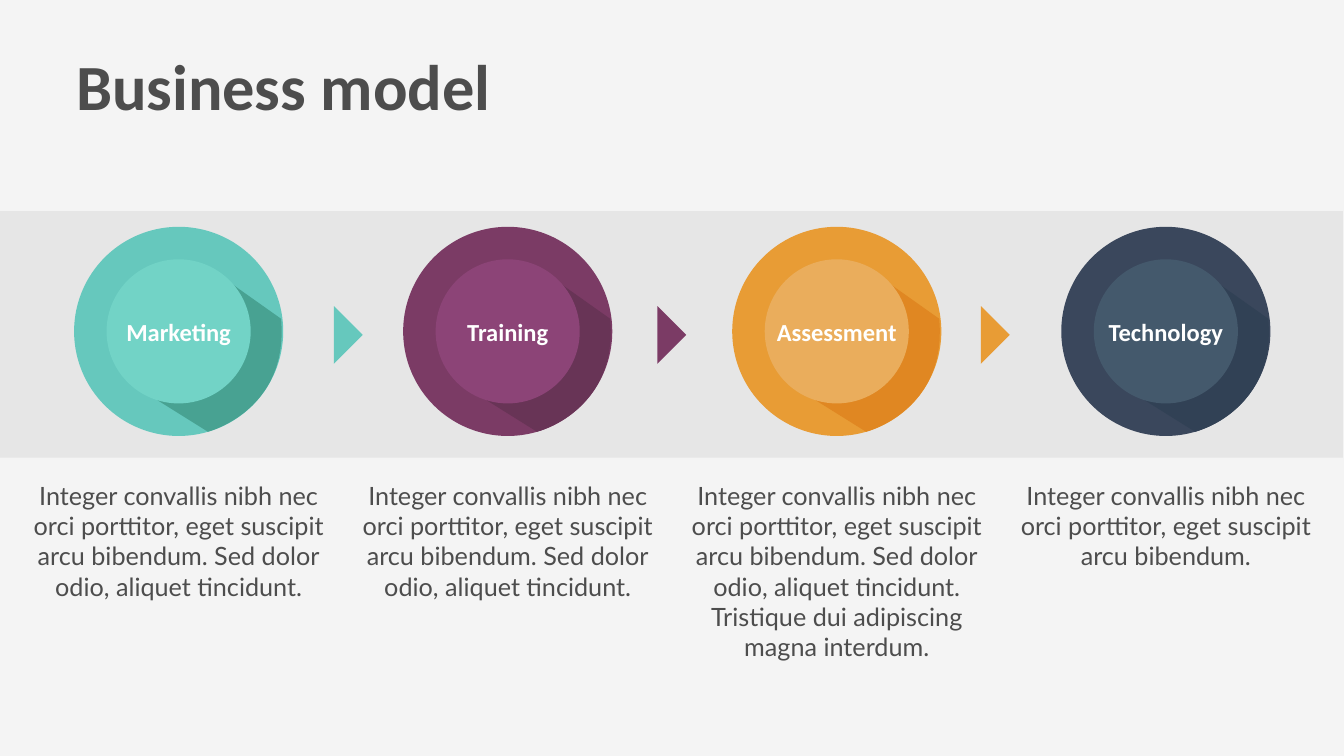
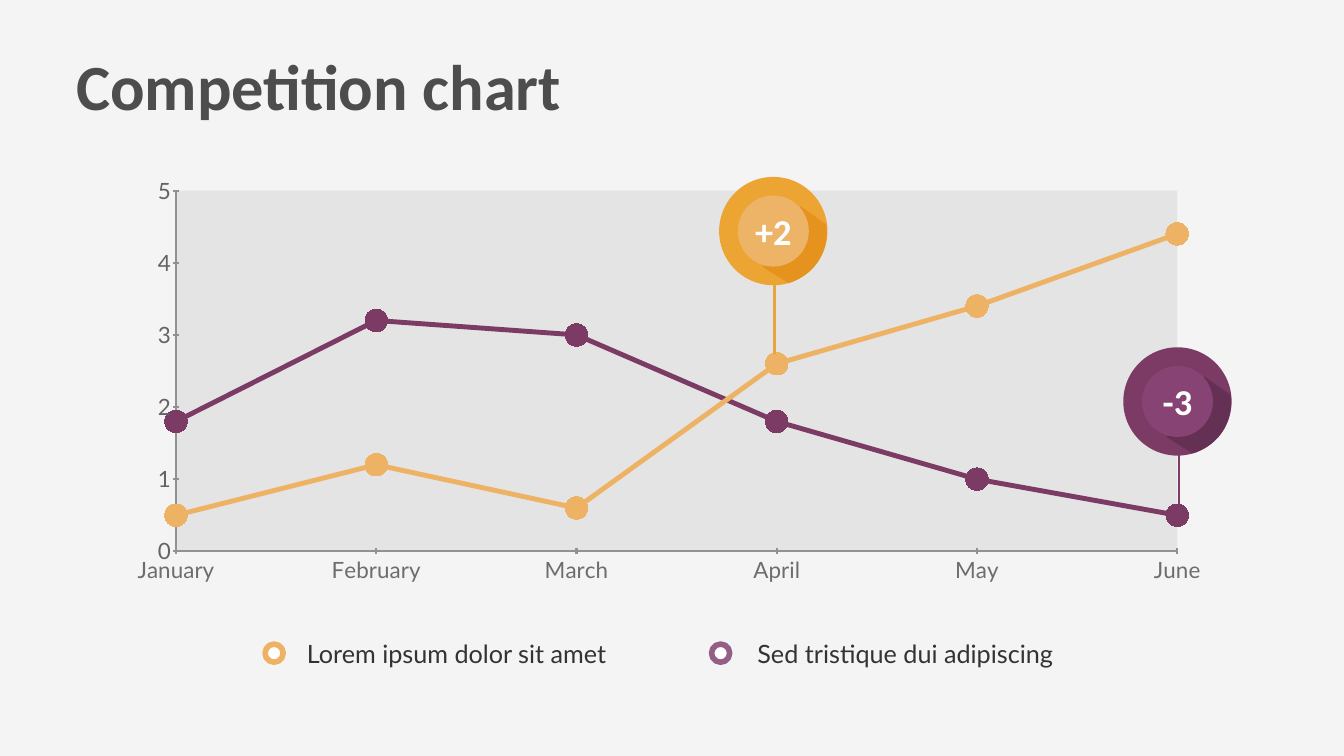
from lxml import etree
from pptx import Presentation
from pptx import util as u
from pptx.chart.data import CategoryChartData
from pptx.dml.color import RGBColor
from pptx.enum import chart as ch, shapes, text
from pptx.oxml import parse_xml
from pptx.oxml.ns import nsdecls, qn

BACK, BAND, INK = "F4F4F4", "E6E6E6", "4D4D4D"
WHITE, AXIS, LEGEND_INK = "FFFFFF", "919191", "333333"
PLUM, AMBER = "7B3B65", "EDB264"
HEAD, BODY = "Calibri", "Lato"

TITLE_FMT = {"name": HEAD, "size": 92, "bold": True, "color": INK}
STEP_FMT = {"name": HEAD, "size": 35, "bold": True, "color": WHITE}
CALLOUT_FMT = {"name": HEAD, "size": 52, "bold": True, "color": WHITE}
BODY_FMT = {"name": BODY, "size": 36, "color": INK}
LEGEND_FMT = {"name": BODY, "size": 36, "color": LEGEND_INK}

CENTER = text.PP_ALIGN.CENTER
OVAL = shapes.MSO_SHAPE.OVAL

# Name, ring, shadow, disc, lines of text
COPY = ["Integer convallis nibh nec", "orci porttitor, eget suscipit",
        "arcu bibendum. Sed dolor", "odio, aliquet tincidunt."]
STEPS = [
    ("Marketing", "66C8BD", "48A292", "72D3C6", COPY),
    ("Training", PLUM, "683456", "8C4477", COPY),
    ("Assessment", "E89C35", "E08722", "EAAD5C",
     COPY + ["Tristique dui adipiscing", "magna interdum."]),
    ("Technology", "3A475C", "314155", "44596C",
     COPY[:2] + ["arcu bibendum."]),
]

MONTHS = ["January", "February", "March", "April", "May", "June"]
SERIES = [("Series 1", PLUM, [1.8, 3.2, 3, 1.8, 1, 0.5]),
          ("Series 2", AMBER, [0.5, 1.2, 0.6, 2.6, 3.4, 4.4])]


def rgb(value):
    return RGBColor.from_string(value)


def inches(*values):
    return [u.Inches(v) for v in values]


def set_font(font, fmt):
    for key, value in fmt.items():
        if key == "color":
            font.color.rgb = rgb(value)
        else:
            setattr(font, key, u.Pt(value) if key == "size" else value)


def paint(sp, fill, line=None, width=0):
    sp.shadow.inherit = False
    sp.fill.solid()
    sp.fill.fore_color.rgb = rgb(fill)
    if line:
        sp.line.color.rgb = rgb(line)
        sp.line.width = u.Pt(width)
    else:
        sp.line.fill.background()
    return sp


def add_shape(slide, kind, box, fill, line=None, width=0):
    return paint(slide.shapes.add_shape(kind, *inches(*box)), fill, line, width)


def add_text(slide, box, lines, fmt, align=None, inset=0, middle=False, wrap=True):
    tf = slide.shapes.add_textbox(*inches(*box)).text_frame
    tf.word_wrap = wrap
    for side in ("left", "right", "top", "bottom"):
        setattr(tf, "margin_" + side, u.Inches(inset))
    if middle:
        tf.vertical_anchor = text.MSO_ANCHOR.MIDDLE
    for i, line in enumerate(lines):
        p = tf.add_paragraph() if i else tf.paragraphs[0]
        p.alignment = align
        r = p.add_run()
        r.text = line
        set_font(r.font, fmt)


def add_stalk(slide, x, top, bottom, color):
    line = slide.shapes.add_connector(
        shapes.MSO_CONNECTOR.STRAIGHT, *inches(x, top, x, bottom))
    line.line.color.rgb = rgb(color)
    line.line.width = u.Pt(3)
    etree.SubElement(line._element.spPr, qn("a:effectLst"))


def new_slide(prs, title):
    slide = prs.slides.add_slide(prs.slide_layouts[6])
    slide.background.fill.solid()
    slide.background.fill.fore_color.rgb = rgb(BACK)
    add_text(slide, (1.51, 0.92, 16.32, 1.65), [title], TITLE_FMT)
    return slide


def bezier(a, b, c, d, steps=24):
    """Points along a cubic curve from a to d."""
    for i in range(steps + 1):
        t = i / steps
        s = 1 - t
        yield tuple(s**3 * m + 3 * s * s * t * n + 3 * s * t * t * o + t**3 * q
                    for m, n, o, q in zip(a, b, c, d))


def badge(slide, left, top, size, disc_size, colors, label, label_box, fmt):
    """Ring with a slanting shadow, an inner disc and a centred label."""
    ring, shadow, disc = colors
    add_shape(slide, OVAL, (left, top, size, size), ring)

    # Shadow outline, in fractions of the ring's size
    edge = bezier((0.64, 0.98), (0.64, 0.98), (1.03, 0.88), (0.99, 0.44))
    points = [(0.4, 0.83), *edge, (0.75, 0.27)]
    points = [inches(left + x * size, top + y * size) for x, y in points]
    fb = slide.shapes.build_freeform(*points[0])
    fb.add_line_segments(points[1:], close=True)
    paint(fb.convert_to_shape(), shadow)

    inset = (size - disc_size) / 2
    add_shape(slide, OVAL, (left + inset, top + inset, disc_size, disc_size), disc)
    w, h = label_box
    add_text(slide, (left + (size - w) / 2, top + (size - h) / 2, w, h), [label],
             fmt, CENTER, inset=0.06, middle=True, wrap=False)


def process_band(slide, left, top, width, height):
    """Band with the steps, arrows between them and text below."""
    add_shape(slide, shapes.MSO_SHAPE.RECTANGLE, (left, top, width, height), BAND)
    step_gap, arrow_gap = 6.53, 6.42
    for i, (name, ring, shadow, disc, lines) in enumerate(STEPS):
        x = left + i * step_gap
        badge(slide, x + 1.47, top + 0.31, 4.15, 2.86, (ring, shadow, disc),
              name, (2.72, 0.69), STEP_FMT)
        add_text(slide, (x + 0.64, top + 5.34, 5.81, 0.12 + 0.61 * len(lines)),
                 lines, BODY_FMT, CENTER, wrap=False)
        if i < len(STEPS) - 1:
            arrow = add_shape(
                slide, shapes.MSO_SHAPE.RIGHT_TRIANGLE,
                (left + 6.22 + i * arrow_gap, top + 2.05, 0.81, 0.81), ring)
            arrow.rotation = 225


def style_axis(axis, color):
    axis.has_title = False
    axis.has_major_gridlines = False
    axis.major_tick_mark = ch.XL_TICK_MARK.CROSS
    axis.minor_tick_mark = ch.XL_TICK_MARK.NONE
    axis.format.line.color.rgb = rgb(AXIS)
    axis.format.line.width = u.Pt(3.25)
    set_font(axis.tick_labels.font, {"name": BODY, "size": 32, "color": color})


def style_plot_area(chart):
    """Fixed inner plot position and a grey fill."""
    area = chart._chartSpace.chart.plotArea
    for old in area.findall(qn("c:layout")):
        area.remove(old)
    frame = {"x": 0.068, "y": 0.039, "w": 0.899, "h": 0.838}
    modes = "".join(f'<c:{k}Mode val="edge"/>' for k in "xy")
    sizes = "".join(f'<c:{k} val="{v}"/>' for k, v in frame.items())
    area.insert(0, parse_xml(
        f'<c:layout {nsdecls("c")}><c:manualLayout><c:layoutTarget val="inner"/>'
        f'{modes}{sizes}</c:manualLayout></c:layout>'))
    area.append(parse_xml(
        f'<c:spPr {nsdecls("c", "a")}><a:solidFill><a:srgbClr val="E4E4E4"/>'
        '</a:solidFill><a:ln><a:noFill/></a:ln></c:spPr>'))


def line_chart(slide, *box):
    data = CategoryChartData()
    data.categories = MONTHS
    for name, _, values in SERIES:
        data.add_series(name, values)
    chart = slide.shapes.add_chart(
        ch.XL_CHART_TYPE.LINE_MARKERS, *inches(*box), data).chart
    chart.has_legend = chart.has_title = False
    set_font(chart.font, {"name": "Cabin", "size": 32, "color": "000000"})
    chart.plots[0].vary_by_categories = False
    style_plot_area(chart)

    # Axes: the first month sits on the value axis
    style_axis(chart.category_axis, "6D6D6D")
    chart.category_axis.tick_label_position = ch.XL_TICK_LABEL_POSITION.LOW
    values = chart.value_axis
    style_axis(values, "636363")
    for key, value in {"minimum_scale": 0, "maximum_scale": 5, "major_unit": 1}.items():
        setattr(values, key, value)
    ax = values._element
    cross = ax.find(qn("c:crossBetween"))
    if cross is None:
        cross = etree.Element(qn("c:crossBetween"))
        ax.find(qn("c:majorUnit")).addprevious(cross)
    cross.set("val", "midCat")

    # Lines and markers
    for series, (_, color, _) in zip(chart.plots[0].series, SERIES):
        series.smooth = False
        series.format.line.color.rgb = rgb(color)
        series.format.line.width = u.Pt(7)
        marker = series.marker
        marker.style = ch.XL_MARKER_STYLE.CIRCLE
        marker.size = 32
        marker.format.fill.solid()
        marker.format.fill.fore_color.rgb = rgb(color)
        marker.format.line.fill.background()


def legend_entry(slide, left, top, gap, width, label, color):
    add_shape(slide, OVAL, (left, top + 0.18, 0.36, 0.36), "FFFDFF", color, 8)
    add_text(slide, (left + gap, top, width, 0.72), [label], LEGEND_FMT,
             inset=0.06, middle=True)


def callout(slide, left, top, label, colors, stalk, length):
    """Small badge with a stalk down to its data point."""
    badge(slide, left, top, 2.15, 1.41, colors, label, (1.72, 0.97), CALLOUT_FMT)
    add_stalk(slide, left + 1.1, top + 2.12, top + 2.12 + length, stalk)


def business_model(prs):
    slide = new_slide(prs, "Business model")
    process_band(slide, 0, 4.19, 26.65, 4.89)


def competition_chart(prs):
    slide = new_slide(prs, "Competition chart")
    line_chart(slide, 1.99, 3.45, 22.1, 8.54)
    legend_entry(slide, 5.26, 12.6, 0.77, 6.67, "Lorem ipsum dolor sit amet", AMBER)
    legend_entry(slide, 14.12, 12.6, 0.85, 6.18, "Sed tristique dui adipiscing", "945F87")
    callout(slide, 14.27, 3.51, "+2", ("ECA433", "E5921F", "EDB468"), "E7A53D", 1.4)
    callout(slide, 22.29, 6.89, "-3", (PLUM, "643053", "874374"), PLUM, 1.02)


def main():
    prs = Presentation()
    prs.slide_width, prs.slide_height = inches(26.67, 15)
    business_model(prs)
    competition_chart(prs)
    prs.save("out.pptx")


if __name__ == "__main__":
    main()
